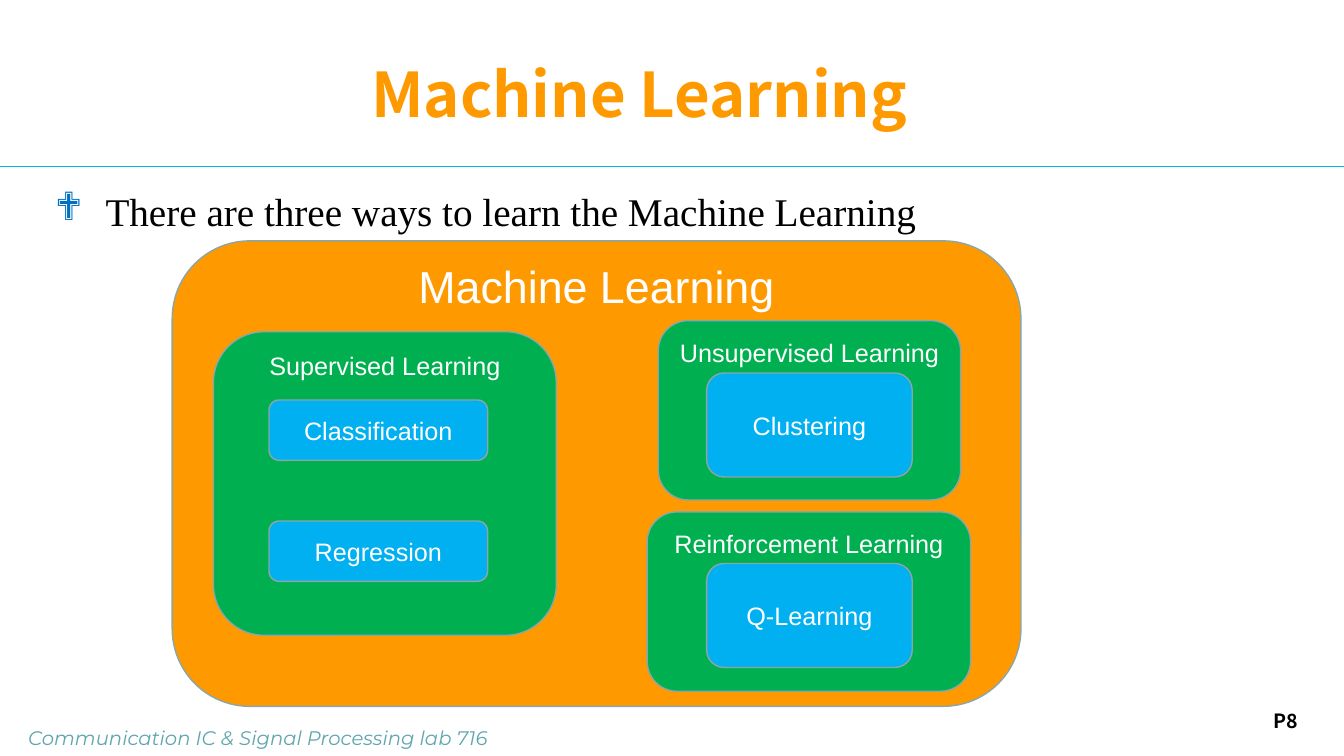
import pptx
import pptx.util
import pptx.dml.color
import pptx.enum.shapes
import pptx.enum.text
import pptx.oxml.ns
from lxml import etree

Cm = pptx.util.Cm
Pt = pptx.util.Pt
qn = pptx.oxml.ns.qn
ANCHOR = pptx.enum.text.MSO_ANCHOR
ALIGN = pptx.enum.text.PP_ALIGN

COLORS = {
    "orange": "FF9900",
    "green": "00B050",
    "blue": "00B0F0",
    "bullet": "0070C0",
    "outline": "8AA6A8",
    "teal": "4597A0",
    "white": "FFFFFF",
    "black": "000000",
}


def rgb(name):
    return pptx.dml.color.RGBColor.from_string(COLORS[name])


def add_bullet(p, char, color, indent):
    pPr = p._p.get_or_add_pPr()
    pPr.set("marL", str(indent))
    pPr.set("indent", str(-indent))
    buClr = etree.SubElement(pPr, qn("a:buClr"))
    etree.SubElement(buClr, qn("a:srgbClr"), val=COLORS[color])
    etree.SubElement(pPr, qn("a:buFont"), typeface="Wingdings")
    etree.SubElement(pPr, qn("a:buChar"), char=char)


def write(tf, text, size=18, font="Arial", color="white", bold=False, italic=False,
          align=ALIGN.CENTER, anchor=ANCHOR.MIDDLE, bullet=None, alpha=None):
    tf.word_wrap = True
    tf.vertical_anchor = anchor
    p = tf.paragraphs[0]
    p.alignment = align
    if bullet:
        add_bullet(p, bullet, "bullet", Cm(1.27))
    r = p.add_run()
    r.text = text
    r.font.name = font
    r.font.size = Pt(size)
    r.font.bold = bold
    r.font.italic = italic
    r.font.color.rgb = rgb(color)
    if alpha:
        clr = r._r.rPr.find(".//" + qn("a:srgbClr"))
        etree.SubElement(clr, qn("a:alpha"), val=str(alpha * 1000))


def add_label(s, text, x, y, w, h, **fmt):
    sp = s.shapes.add_textbox(Cm(x), Cm(y), Cm(w), Cm(h))
    write(sp.text_frame, text, **fmt)


def add_box(s, text, x, y, w, h, fill, top=None, **fmt):
    sp = s.shapes.add_shape(pptx.enum.shapes.MSO_SHAPE.ROUNDED_RECTANGLE,
                            Cm(x), Cm(y), Cm(w), Cm(h))
    sp.shadow.inherit = False
    sp.fill.solid()
    sp.fill.fore_color.rgb = rgb(fill)
    sp.line.color.rgb = rgb("outline")
    sp.line.width = Pt(1)
    if top is not None:
        sp.text_frame.margin_top = Cm(top)
        fmt["anchor"] = ANCHOR.TOP
    write(sp.text_frame, text, **fmt)


def add_rule(s, y, width):
    c = s.shapes.add_connector(pptx.enum.shapes.MSO_CONNECTOR.STRAIGHT,
                               0, Cm(y), width, Cm(y))
    c.line.color.rgb = rgb("blue")
    c.line.width = Pt(0.75)
    etree.SubElement(c._element.spPr, qn("a:effectLst"))


def main():
    prs = pptx.Presentation()
    prs.slide_width = Cm(33.87)
    prs.slide_height = Cm(19.05)
    s = prs.slides.add_slide(prs.slide_layouts[6])

    add_rule(s, 4.19, prs.slide_width)
    add_label(s, "P8", 30.94, 17.73, 2.95, 1.32, size=14, font="Noto Sans CJK SC",
              color="black", bold=True, anchor=ANCHOR.TOP)
    add_label(s, "Communication IC & Signal Processing lab 716", 0.46, 18.16, 27.94, 0.86,
              size=14, font="Montserrat", color="teal", italic=True, alpha=85,
              align=ALIGN.LEFT, anchor=ANCHOR.TOP)
    add_label(s, "Machine Learning", 1.7, 0.76, 28.83, 3.18, size=44,
              font="Noto Sans CJK SC", color="orange", bold=True)
    add_label(s, "There are three ways to learn the Machine Learning", 1.14, 4.6, 32.26, 12.5,
              size=28, font="Times New Roman", color="black", bullet="❖",
              align=ALIGN.LEFT, anchor=ANCHOR.TOP)

    add_box(s, "Machine Learning", 4.34, 6.07, 21.39, 11.73, "orange", top=-0.13, size=32)
    for text, x, y, w, h, top in (
        ("Supervised Learning", 5.38, 8.36, 8.64, 7.65, 0.1),
        ("Unsupervised Learning", 16.59, 8.08, 7.62, 4.52, 0.2),
        ("Reinforcement Learning", 16.31, 12.9, 8.15, 4.52, 0.2),
    ):
        add_box(s, text, x, y, w, h, "green", top=top)
    for text, y in (("Classification", 10.08), ("Regression", 13.13)):
        add_box(s, text, 6.78, y, 5.51, 1.52, "blue")
    for text, y in (("Clustering", 9.4), ("Q-Learning", 14.2)):
        add_box(s, text, 17.81, y, 5.18, 2.62, "blue")

    prs.save("out.pptx")


if __name__ == "__main__":
    main()
